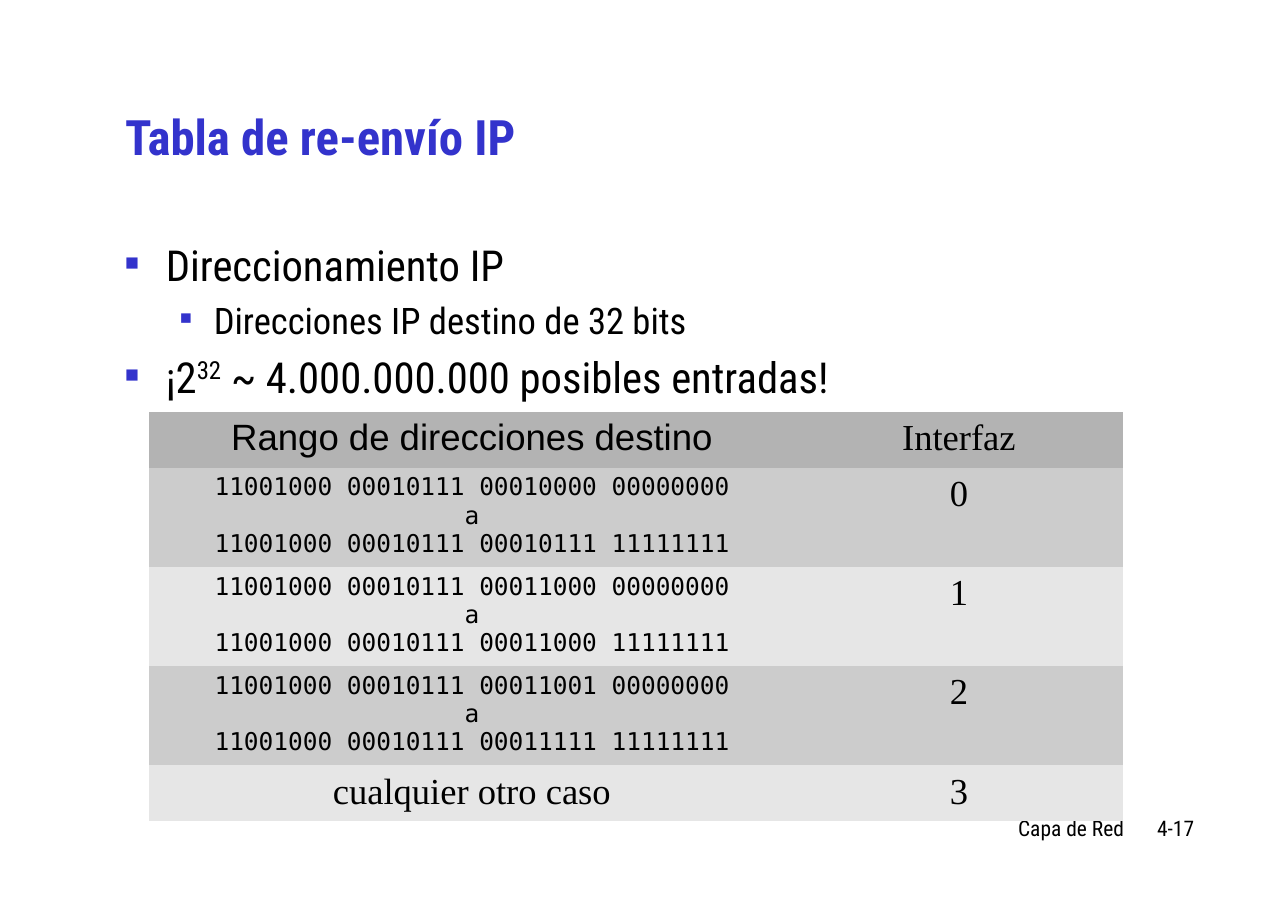
from dataclasses import dataclass

from lxml.etree import SubElement
from pptx import Presentation
from pptx.dml.color import RGBColor
from pptx.enum.text import MSO_ANCHOR, MSO_AUTO_SIZE, PP_ALIGN
from pptx.oxml.ns import qn
from pptx.util import Emu, Pt

EMU_PER_PX = 914400 / 110.2
BLACK = RGBColor(0x00, 0x00, 0x00)
BLUE = RGBColor(0x33, 0x33, 0xCC)
HEADER_GRAY = RGBColor(0xB3, 0xB3, 0xB3)
BAND_GRAYS = (RGBColor(0xCC, 0xCC, 0xCC), RGBColor(0xE6, 0xE6, 0xE6))

ROBOTO = "Roboto Condensed"
ARIAL = "Arial"
TIMES = "Times New Roman"
MONO = "DejaVu Sans Mono"
NO_TABLE_STYLE = "{2D5ABB26-0587-4C30-8999-92F81FD0307C}"


@dataclass
class Bullet:
    runs: list[tuple[str, bool]]  # text, superscript
    level: int = 0


@dataclass
class BulletStyle:
    size: float
    space: float
    margin: int
    hanging: int


@dataclass
class Footer:
    text: str
    left: int
    width: int


@dataclass
class Cell:
    lines: list[str]
    font: str = TIMES
    size: float = 23.9
    spacing: float = 1.02


def px(n: float) -> Emu:
    return Emu(round(n * EMU_PER_PX))


def place(sp, left: int, top: int, width: int, height: int) -> None:
    box = dict(left=left, top=top, width=width, height=height)
    for name, value in box.items():
        setattr(sp, name, px(value))


def set_all(obj, **values) -> None:
    for name, value in values.items():
        setattr(obj, name, value)


def add_run(p, text: str, font: str, size: float, color=BLACK, bold=False):
    r = p.add_run()
    r.text = text
    set_all(r.font, name=font, size=Pt(size), bold=bold)
    r.font.color.rgb = color
    return r


def add_text_box(slide, left: int, top: int, width: int, height: int):
    sp = slide.shapes.add_textbox(0, 0, 0, 0)
    place(sp, left, top, width, height)
    sp.text_frame.word_wrap = True
    return sp.text_frame


def add_bullet(p, bullet: Bullet, style: BulletStyle) -> None:
    set_all(p, line_spacing=0.97, space_before=Pt(style.space), level=bullet.level)
    pPr = p._p.get_or_add_pPr()
    pPr.set("marL", str(px(style.margin)))
    pPr.set("indent", str(-px(style.hanging)))
    color = SubElement(pPr, qn("a:buClr"))
    SubElement(color, qn("a:srgbClr"), val=str(BLUE))
    SubElement(pPr, qn("a:buSzPct"), val="45000")
    SubElement(pPr, qn("a:buChar"), char="■")
    for text, superscript in bullet.runs:
        r = add_run(p, text, ROBOTO, style.size)
        if superscript:
            r.font._element.set("baseline", "33000")


def fill_cell(cell, content: Cell, color: RGBColor) -> None:
    cell.fill.solid()
    cell.fill.fore_color.rgb = color
    tf = cell.text_frame
    for i, line in enumerate(content.lines):
        p = tf.add_paragraph() if i else tf.paragraphs[0]
        set_all(p, alignment=PP_ALIGN.CENTER, line_spacing=content.spacing)
        add_run(p, line, content.font, content.size)


def address_range(first: str, last: str) -> Cell:
    prefix = "11001000 00010111"
    return Cell([f"{prefix} {first}", "a", f"{prefix} {last}"], MONO, 16, 1.0)


BULLET_STYLES = (BulletStyle(27.9, 6.9, 41, 41), BulletStyle(23.9, 6, 89, 34))
BULLETS = [
    Bullet([("Direccionamiento IP", False)]),
    Bullet([("Direcciones IP destino de 32 bits", False)], level=1),
    Bullet([("¡2", False), ("32", True),
            (" ~ 4.000.000.000 posibles entradas!", False)]),
]
FOOTERS = [Footer("Capa de Red", 755, 380), Footer("4-17", 1116, 89)]

COLUMN_WIDTHS = (646, 328)
ROW_HEIGHTS = (55, 99, 99, 99, 55)
DESTINATIONS = [
    address_range("00010000 00000000", "00010111 11111111"),
    address_range("00011000 00000000", "00011000 11111111"),
    address_range("00011001 00000000", "00011111 11111111"),
    Cell(["cualquier otro caso"]),
]
ROWS = [(Cell(["Rango de direcciones destino"], ARIAL, spacing=1.0),
         Cell(["Interfaz"]))]
ROWS += [(dest, Cell([str(i)])) for i, dest in enumerate(DESTINATIONS)]

prs = Presentation()
set_all(prs, slide_width=px(1288), slide_height=px(911))
s = prs.slides.add_slide(prs.slide_layouts[5])

# Footer and page number
for footer in FOOTERS:
    p = add_text_box(s, footer.left, 813, footer.width, 34).paragraphs[0]
    set_all(p, alignment=PP_ALIGN.RIGHT, line_spacing=0.9)
    add_run(p, footer.text, ROBOTO, 14)

# Title
title = s.shapes.title
place(title, 114, 61, 1022, 158)
set_all(title.text_frame, vertical_anchor=MSO_ANCHOR.MIDDLE,
        auto_size=MSO_AUTO_SIZE.NONE, word_wrap=True)
p = title.text_frame.paragraphs[0]
set_all(p, alignment=PP_ALIGN.LEFT, line_spacing=0.9)
add_run(p, "Tabla de re-envío IP", ROBOTO, 31.9, BLUE, True)

# Bullets
tf = add_text_box(s, 114, 236, 1022, 228)
for i, bullet in enumerate(BULLETS):
    p = tf.add_paragraph() if i else tf.paragraphs[0]
    add_bullet(p, bullet, BULLET_STYLES[bullet.level])

# Forwarding table
frame = s.shapes.add_table(len(ROWS), len(COLUMN_WIDTHS), px(149), px(412),
                           px(sum(COLUMN_WIDTHS)), px(sum(ROW_HEIGHTS)))
table = frame.table
set_all(table, first_row=False, horz_banding=False)
table._tbl.tblPr.find(qn("a:tableStyleId")).text = NO_TABLE_STYLE
for column, width in zip(table.columns, COLUMN_WIDTHS):
    column.width = px(width)
for i, (row, height, contents) in enumerate(zip(table.rows, ROW_HEIGHTS, ROWS)):
    row.height = px(height)
    color = BAND_GRAYS[(i - 1) % 2] if i else HEADER_GRAY
    for cell, content in zip(row.cells, contents):
        fill_cell(cell, content, color)

prs.save("out.pptx")
